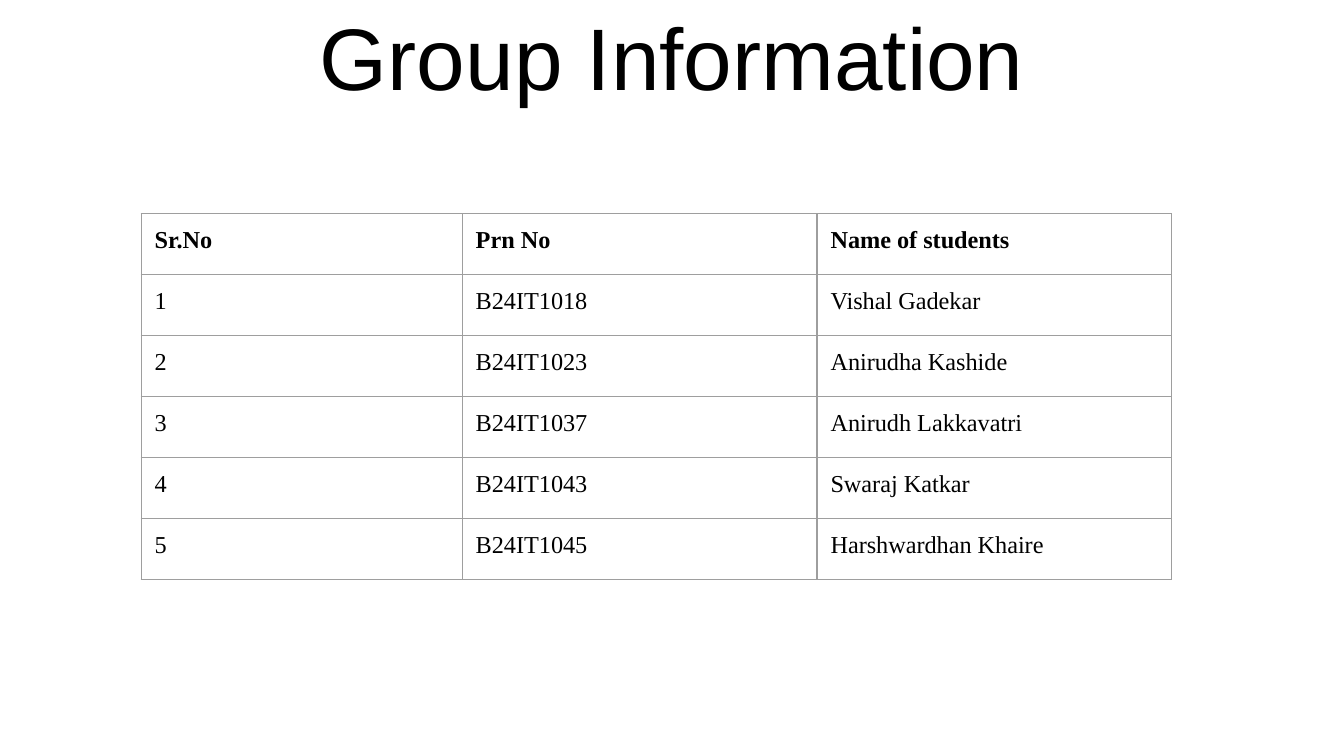
import dataclasses

import pptx
import pptx.dml.color
import pptx.enum.text
import pptx.oxml
import pptx.oxml.ns
import pptx.util

Inches = pptx.util.Inches
SLIDE_WIDTH = 10
TITLE_FONT = "Arial"
TABLE_FONT = "Times New Roman"
BLACK = "000000"
WHITE = "FFFFFF"
BORDER_GREY = "9E9E9E"
INSET = Inches(0.1)
TABLE_HEIGHT = 2.72
COLUMN_WIDTHS = (2.39, 2.64, 2.64)


@dataclasses.dataclass
class Student:
    prn: str
    name: str


HEADINGS = ("Sr.No", "Prn No", "Name of students")
STUDENTS = (
    Student("B24IT1018", "Vishal Gadekar"),
    Student("B24IT1023", "Anirudha Kashide"),
    Student("B24IT1037", "Anirudh Lakkavatri"),
    Student("B24IT1043", "Swaraj Katkar"),
    Student("B24IT1045", "Harshwardhan Khaire"),
)


def color(value: str) -> pptx.dml.color.RGBColor:
    return pptx.dml.color.RGBColor.from_string(value)


def write_text(text_frame, text: str, *, font: str, size: float,
               bold: bool = False, align=pptx.enum.text.PP_ALIGN.LEFT) -> None:
    paragraph = text_frame.paragraphs[0]
    paragraph.alignment = align
    run = paragraph.add_run()
    run.text = text
    run.font.name = font
    run.font.size = pptx.util.Pt(size)
    run.font.bold = bold
    run.font.color.rgb = color(BLACK)


def set_insets(box) -> None:
    box.margin_left = box.margin_right = INSET
    box.margin_top = box.margin_bottom = INSET


def set_borders(cell, line_color: str, points: float) -> None:
    properties = cell._tc.get_or_add_tcPr()
    # Border lines come before the fill in the cell properties
    for index, side in enumerate(("lnL", "lnR", "lnT", "lnB")):
        properties.insert(index, pptx.oxml.parse_xml(
            f'<a:{side} {pptx.oxml.ns.nsdecls("a")} w="{pptx.util.Pt(points)}">'
            f'<a:solidFill><a:srgbClr val="{line_color}"/></a:solidFill></a:{side}>'))


def add_title(slide, text: str) -> None:
    title = slide.shapes.title
    title.left, title.top = Inches(0.34), Inches(0.17)
    title.width, title.height = Inches(9.32), Inches(0.73)
    frame = title.text_frame
    frame.word_wrap = True
    frame.auto_size = pptx.enum.text.MSO_AUTO_SIZE.NONE
    frame.vertical_anchor = pptx.enum.text.MSO_ANCHOR.BOTTOM
    set_insets(frame)
    write_text(frame, text, font=TITLE_FONT, size=46.8,
               align=pptx.enum.text.PP_ALIGN.CENTER)


def add_student_table(slide) -> None:
    rows = [HEADINGS]
    rows += [(str(number), student.prn, student.name)
             for number, student in enumerate(STUDENTS, start=1)]
    table = slide.shapes.add_table(
        len(rows), len(HEADINGS), Inches(1.05), Inches(1.59),
        Inches(sum(COLUMN_WIDTHS)), Inches(TABLE_HEIGHT)).table
    table.horz_banding = False
    for column, width in zip(table.columns, COLUMN_WIDTHS):
        column.width = Inches(width)
    for row_index, values in enumerate(rows):
        table.rows[row_index].height = Inches(TABLE_HEIGHT / len(rows))
        for column_index, value in enumerate(values):
            cell = table.cell(row_index, column_index)
            cell.fill.solid()
            cell.fill.fore_color.rgb = color(WHITE)
            set_insets(cell)
            set_borders(cell, BORDER_GREY, 0.75)
            write_text(cell.text_frame, value, font=TABLE_FONT, size=13,
                       bold=row_index == 0)


def main() -> None:
    presentation = pptx.Presentation()
    # Widescreen 16:9 slide
    presentation.slide_width = Inches(SLIDE_WIDTH)
    presentation.slide_height = Inches(SLIDE_WIDTH * 9 / 16)
    # Title-only layout
    slide = presentation.slides.add_slide(presentation.slide_layouts[5])
    add_title(slide, "Group Information")
    add_student_table(slide)
    presentation.save("out.pptx")


if __name__ == "__main__":
    main()
